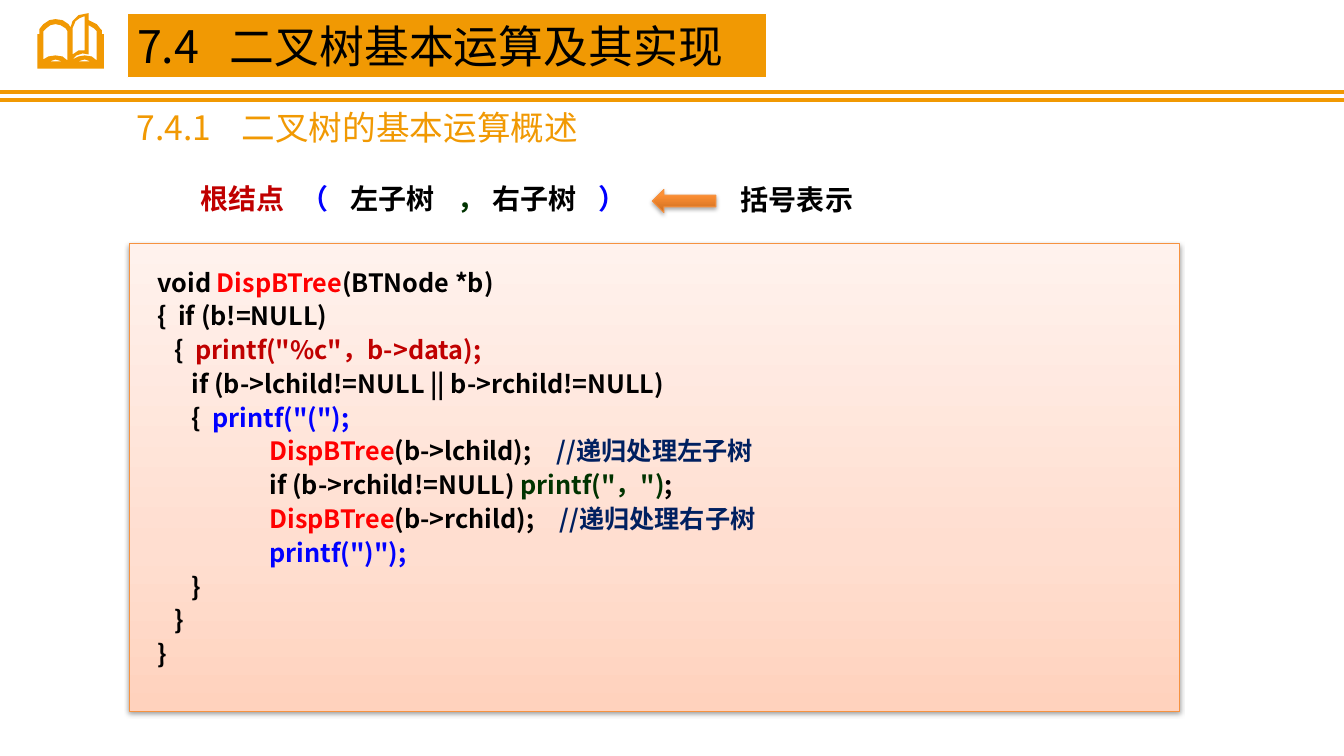
from copy import deepcopy

from lxml import etree
from pptx import Presentation
from pptx.dml.color import RGBColor
from pptx.enum.shapes import MSO_CONNECTOR, MSO_SHAPE
from pptx.enum.text import MSO_ANCHOR, MSO_AUTO_SIZE, PP_ALIGN
from pptx.oxml.ns import qn
from pptx.util import Inches, Pt

RECT = MSO_SHAPE.RECTANGLE
ARROW = MSO_SHAPE.LEFT_ARROW
STRAIGHT = MSO_CONNECTOR.STRAIGHT
TOP = MSO_ANCHOR.TOP
MIDDLE = MSO_ANCHOR.MIDDLE
LEFT = PP_ALIGN.LEFT
CENTER = PP_ALIGN.CENTER
JUSTIFY = PP_ALIGN.JUSTIFY
FIXED = MSO_AUTO_SIZE.NONE

FONT = "Noto Sans CJK SC"
BLACK = RGBColor(0x00, 0x00, 0x00)
WHITE = RGBColor(0xFF, 0xFF, 0xFF)
AMBER = RGBColor(0xF1, 0x99, 0x03)
EDGE = RGBColor(0xF6, 0x92, 0x40)
RED = RGBColor(0xFF, 0x00, 0x00)
CRIMSON = RGBColor(0xC0, 0x00, 0x00)
BLUE = RGBColor(0x00, 0x00, 0xFF)
NAVY = RGBColor(0x00, 0x20, 0x60)
GREEN = RGBColor(0x00, 0x33, 0x00)

PANEL = [(0, RGBColor(0xFF, 0xD2, 0xBD)), (0.35, RGBColor(0xFF, 0xDE, 0xD0)),
         (1, RGBColor(0xFF, 0xF2, 0xED))]
FLAME = [(0, RGBColor(0xCC, 0x6E, 0x20)), (0.8, RGBColor(0xFF, 0x90, 0x34)),
         (1, RGBColor(0xFF, 0x91, 0x36))]

BOOK = [
    [(101, 34), (101, 30), (100, 29), (96, 24), (88, 20), (88, 13), (78, 15),
     (72, 21), (70, 27), (68, 24), (62, 20), (55, 19), (49, 20), (43, 24),
     (39, 29), (39, 34), (37, 34), (37, 68), (103, 68), (103, 34)],
    [(49, 61), (55, 59), (62, 61)],
    [(67, 60), (62, 56), (55, 55), (48, 56), (43, 59), (43, 31), (46, 28),
     (50, 25), (55, 24), (60, 25), (65, 28), (67, 31)],
    [(84, 16), (84, 50), (78, 50), (72, 54), (72, 28), (75, 21), (79, 18)],
    [(77, 61), (84, 59), (90, 61)],
    [(96, 60), (91, 56), (84, 55), (78, 56), (72, 59), (76, 55), (82, 53),
     (88, 54), (88, 25), (93, 28), (96, 31)],
]

LABELS = [
    (1.78, 1.25, "根结点", CRIMSON),
    (2.96, 0.31, "（", BLUE),
    (3.27, 1.25, "左子树", BLACK),
    (4.52, 0.31, "，", GREEN),
    (4.68, 1.25, "右子树", BLACK),
    (5.92, 0.31, "）", BLUE),
]

CODE = [
    [("void ", BLACK), ("DispBTree", RED), ("(BTNode *b)", BLACK)],
    [("{  if (b!=NULL)", BLACK)],
    [("   {  ", BLACK), ('printf("%c"，b->data);', CRIMSON)],
    [("      if (b->lchild!=NULL || b->rchild!=NULL)", BLACK)],
    [("      {  ", BLACK), ('printf("(");', BLUE)],
    [("\t  ", BLACK), ("DispBTree", RED), ("(b->lchild);　", BLACK),
     ("//递归处理左子树", NAVY)],
    [("\t  if (b->rchild!=NULL) ", BLACK), ('printf("，")', GREEN),
     (";", BLACK)],
    [("\t  ", BLACK), ("DispBTree", RED), ("(b->rchild);　", BLACK),
     ("//递归处理右子树", NAVY)],
    [("\t  ", BLACK), ('printf(")");', BLUE)],
    [("      }", BLACK)],
    [("   }", BLACK)],
    [("}", BLACK)],
]


def place(shape, x, y, w, h):
    shape.left, shape.top = Inches(x), Inches(y)
    shape.width, shape.height = Inches(w), Inches(h)


def write(shape, lines, size, bold=False, align=LEFT, anchor=MIDDLE,
          pad=(0.1, 0.05, 0.1, 0.05), tab=None, pitch=1.0, gap=0):
    frame = shape.text_frame
    frame.auto_size = FIXED
    frame.word_wrap = True
    frame.vertical_anchor = anchor
    (frame.margin_left, frame.margin_top,
     frame.margin_right, frame.margin_bottom) = map(Inches, pad)
    for i, line in enumerate(lines):
        para = frame.add_paragraph() if i else frame.paragraphs[0]
        para.alignment = align
        para.line_spacing = pitch
        para.space_before = Pt(gap if i else 0)
        if tab:
            tabs = etree.SubElement(para._p.get_or_add_pPr(), qn("a:tabLst"))
            etree.SubElement(tabs, qn("a:tab"), pos=str(Inches(tab)), algn="l")
        for text, color in line:
            run = para.add_run()
            run.text = text
            font = run.font
            font.size, font.bold, font.name = Pt(size), bold, FONT
            font.color.rgb = color
            etree.SubElement(run._r.get_or_add_rPr(), qn("a:ea"), typeface=FONT)


def label(slide, x, y, w, h, text, color, size, **form):
    box = slide.shapes.add_textbox(*map(Inches, (x, y, w, h)))
    write(box, [[(text, color)]], size, **form)


def rule(slide, y):
    line = slide.shapes.add_connector(
        STRAIGHT, 0, Inches(y), Inches(13.33), Inches(y))
    line.line.color.rgb = AMBER
    line.line.width = Pt(3)
    etree.SubElement(line._element.spPr, qn("a:effectLst"))


def book(slide):
    pen = slide.shapes.build_freeform(*BOOK[0][0], scale=Inches(0.01))
    for i, ring in enumerate(BOOK):
        if i:
            pen.move_to(*ring[0])
        pen.add_line_segments(ring[1:], close=True)
    icon = pen.convert_to_shape()
    icon.shadow.inherit = False
    icon.fill.solid()
    icon.fill.fore_color.rgb = AMBER
    icon.line.fill.background()


def block(slide, kind, x, y, w, h, stops, alpha):
    shape = slide.shapes.add_shape(kind, *map(Inches, (x, y, w, h)))
    shape.shadow.inherit = False
    shape.line.color.rgb = EDGE
    shape.line.width = Pt(0.75)
    shape.fill.gradient()
    shape.fill.gradient_angle = 90
    props = shape._element.spPr
    ramp = props.find(".//" + qn("a:gsLst"))
    ramp.append(deepcopy(ramp[-1]))
    for stop, (spot, color) in zip(shape.fill.gradient_stops, stops):
        stop.position = spot
        stop.color.rgb = color
    shade = etree.SubElement(
        props.find(qn("a:effectLst")), qn("a:outerShdw"), blurRad=str(Pt(3.1)),
        dist=str(Pt(1.7)), dir="5400000", rotWithShape="0")
    tint = etree.SubElement(shade, qn("a:srgbClr"), val=str(BLACK))
    etree.SubElement(tint, qn("a:alpha"), val=str(alpha * 1000))
    return shape


def head(slide):
    title = slide.shapes.title
    place(title, 1.26, 0.13, 6.34, 0.64)
    title.fill.solid()
    title.fill.fore_color.rgb = AMBER
    title.line.color.rgb = WHITE
    title.line.width = Pt(0.75)
    write(title, [[("7.4\t二叉树基本运算及其实现", BLACK)]], 32, tab=0.92)


def main():
    deck = Presentation()
    deck.slide_width, deck.slide_height = Inches(13.33), Inches(7.5)
    slide = deck.slides.add_slide(deck.slide_layouts[5])
    for y in (0.91, 0.99):
        rule(slide, y)
    book(slide)
    head(slide)
    label(slide, 1.26, 1.01, 6.33, 0.5, "7.4.1\t二叉树的基本运算概述",
          AMBER, 24, tab=1.04)
    panel = block(slide, RECT, 1.28, 2.42, 10.42, 4.64, PANEL, 38)
    write(panel, CODE, 18, bold=True, align=JUSTIFY, anchor=TOP,
          pad=(0.28, 0.31, 0.16, 0.12), tab=1, pitch=0.7, gap=9)
    for x, w, text, color in LABELS:
        label(slide, x, 1.8, w, 0.34, text, color, 20, bold=True,
              align=CENTER, pad=(0, 0, 0, 0))
    block(slide, ARROW, 6.47, 1.88, 0.63, 0.23, FLAME, 35)
    label(slide, 7.25, 1.76, 1.56, 0.44, "括号表示", BLACK, 20, bold=True)
    deck.save("out.pptx")


if __name__ == "__main__":
    main()
